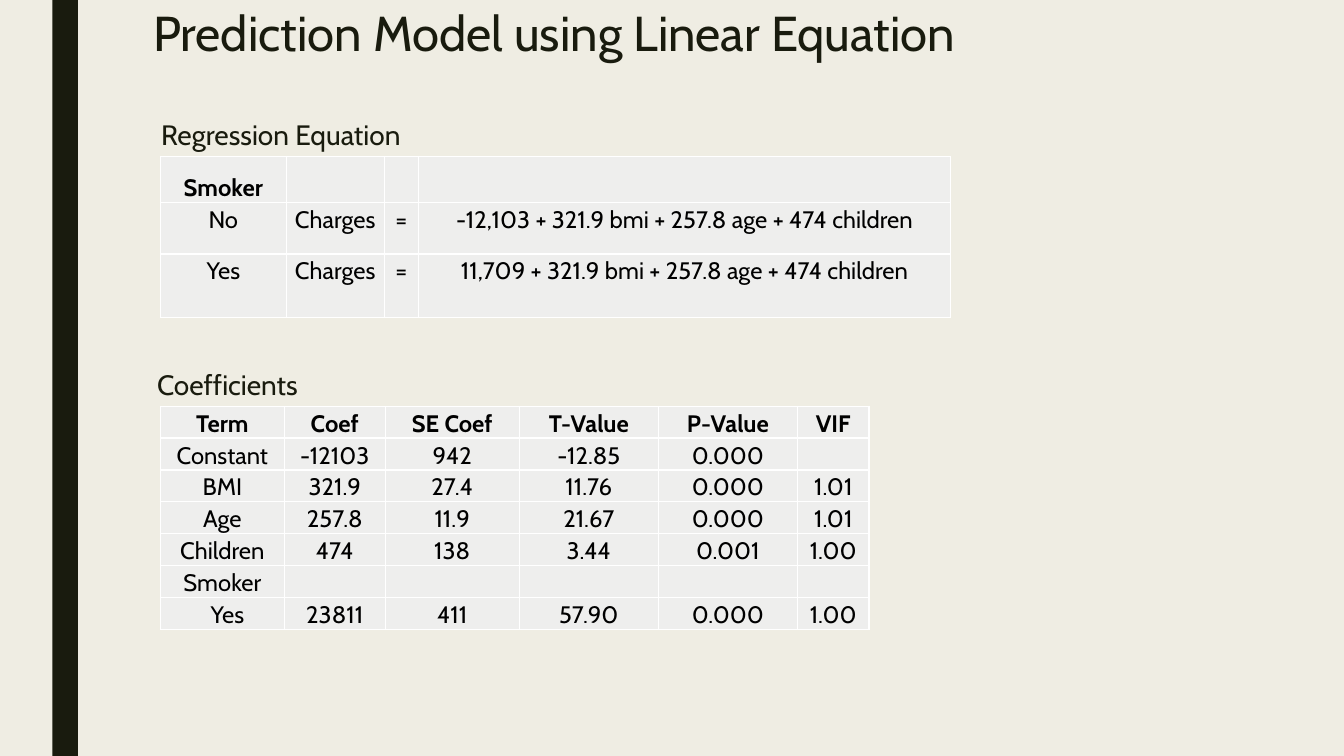
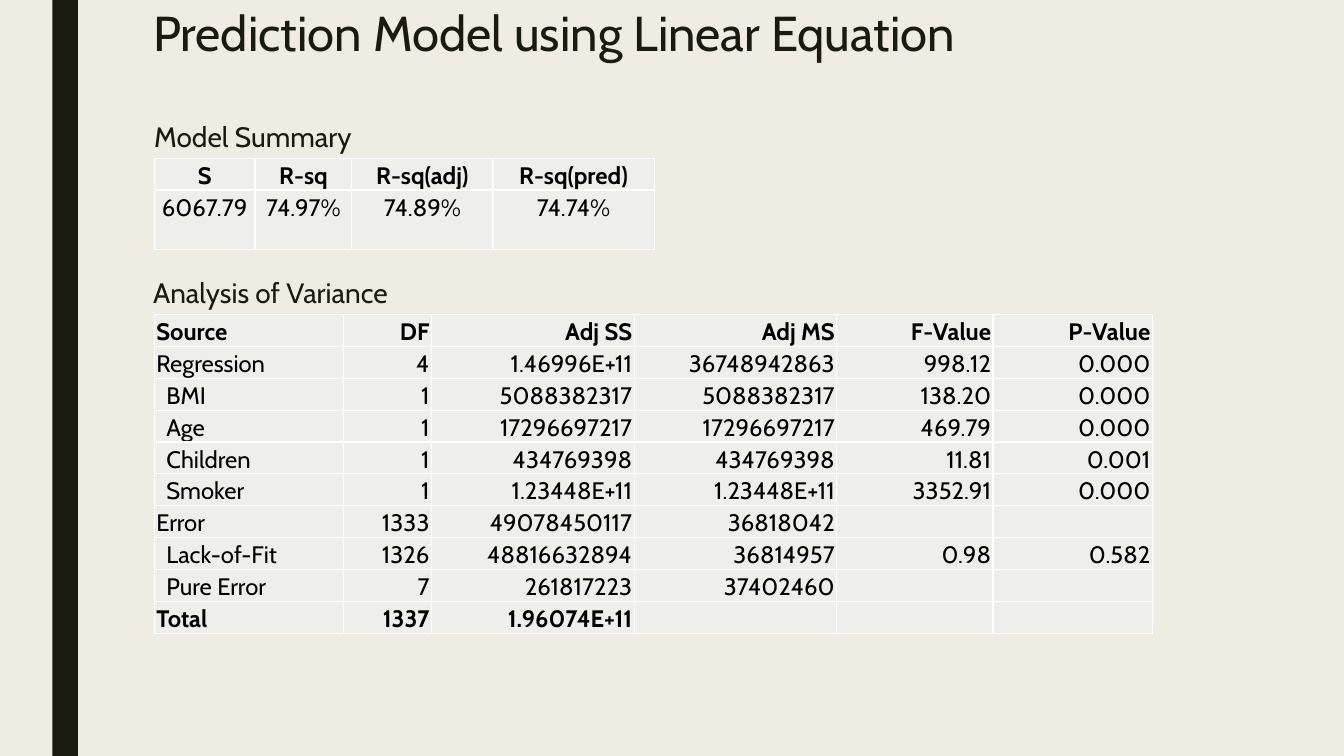
from lxml import etree
from pptx import Presentation, util as u
from pptx.dml.color import RGBColor
from pptx.enum import shapes, text
from pptx.oxml.ns import qn

TITLE = "Prediction Model using Linear Equation"
DARK, PAPER, CELL, BLACK, WHITE = "191B0E", "EFEDE3", "EEEEED", "000000", "FFFFFF"
LEFT, CENTER, RIGHT = text.PP_ALIGN.LEFT, text.PP_ALIGN.CENTER, text.PP_ALIGN.RIGHT
LINE = 4.22
HEADING_HEIGHT = 4.93
TEXT_WIDTH = 78.75


def rgb(hex_color):
    return RGBColor.from_string(hex_color)


def paint(target, hex_color):
    target.solid()
    target.fore_color.rgb = rgb(hex_color)


def assign(target, values):
    for name, value in values.items():
        setattr(target, name, value)


class Deck:
    """Hold the shared style and current slide; lengths are percentages of the slide."""

    def __init__(self):
        self.prs = Presentation()
        assign(self.prs, {"slide_width": u.Inches(13.33), "slide_height": u.Inches(7.5)})
        paint(self.prs.slide_master.background.fill, PAPER)

    def across(self, share):
        return round(self.prs.slide_width * share / 100)

    def down(self, share):
        return round(self.prs.slide_height * share / 100)

    def box(self, left, top, width, height):
        return self.across(left), self.down(top), self.across(width), self.down(height)

    def page(self, title):
        self.slide = self.prs.slides.add_slide(self.prs.slide_layouts[6])
        band = self.slide.shapes.add_shape(shapes.MSO_SHAPE.RECTANGLE, *self.box(3.9, 0, 1.9, 100))
        band.shadow.inherit = False
        paint(band.fill, DARK)
        band.line.fill.background()
        self.label(title, 10.65, 0.67, 9.87, 35, 0.89)

    def label(self, words, left, top, height, size, spacing):
        frame = self.slide.shapes.add_textbox(*self.box(left, top, TEXT_WIDTH, height)).text_frame
        assign(frame, {"word_wrap": True, "vertical_anchor": text.MSO_ANCHOR.TOP})
        self.typeset(frame.paragraphs[0], words, size, DARK, False, LEFT, spacing)

    def typeset(self, paragraph, words, size, color, bold, align, spacing):
        assign(paragraph, {"alignment": align, "line_spacing": spacing})
        if not words:
            paragraph._p.get_or_add_endParaRPr().set("sz", str(size * 100))
            return
        run = paragraph.add_run()
        run.text = words
        assign(run.font, {"name": "Cabin", "size": u.Pt(size), "bold": bold})
        run.font.color.rgb = rgb(color)

    def section(self, heading, left, top, table_left, columns, rows, heights=None,
                aligns=(CENTER, CENTER), nested=(), bold_rows=(0,)):
        self.label(heading, left, top, HEADING_HEIGHT, 20, 0.79)
        heights = heights or [LINE] * len(rows)
        place = self.box(table_left, top + HEADING_HEIGHT, sum(columns), sum(heights))
        table = self.slide.shapes.add_table(len(rows), len(columns), *place).table
        assign(table, {"first_row": False, "horz_banding": False})
        for column, share in zip(table.columns, columns):
            column.width = self.across(share)
        for r, (row, share) in enumerate(zip(rows, heights)):
            table.rows[r].height = self.down(share)
            for c in range(len(columns)):
                words = row[c] if c < len(row) else ""
                self.cell(table.cell(r, c), words, aligns[c > 0], r == 0,
                          r in bold_rows, c == 0 and r in nested)

    def cell(self, cell, words, align, is_header, bold, is_nested):
        assign(cell, {
            "margin_left": u.Inches(0.12 if is_nested else 0.02),
            "margin_right": u.Inches(0.02),
            "margin_top": u.Inches(0.01),
            "margin_bottom": 0,
            "vertical_anchor": text.MSO_ANCHOR.BOTTOM if is_header else text.MSO_ANCHOR.TOP,
        })
        properties = cell._tc.get_or_add_tcPr()
        for side in ("lnL", "lnR", "lnT", "lnB"):
            border = etree.SubElement(properties, qn(f"a:{side}"), w=str(int(u.Pt(1))))
            solid = etree.SubElement(border, qn("a:solidFill"))
            etree.SubElement(solid, qn("a:srgbClr"), val=WHITE)
        paint(cell.fill, CELL)
        self.typeset(cell.text_frame.paragraphs[0], words, 17, BLACK, bold, align, 1.07)


def main():
    deck = Deck()

    deck.page(TITLE)
    deck.section(
        "Regression Equation", 11.25, 15.73, 11.93, [9.38, 7.28, 2.55, 39.61],
        [
            ["Smoker"],
            ["No", "Charges", "=", "-12,103 + 321.9 bmi + 257.8 age + 474 children"],
            ["Yes", "Charges", "=", "11,709 + 321.9 bmi + 257.8 age + 474 children"],
        ],
        heights=[6.13, 6.8, 8.4])
    deck.section(
        "Coefficients", 10.95, 48.8, 11.93, [9.23, 7.5, 9.98, 10.35, 10.35, 5.33],
        [
            ["Term", "Coef", "SE Coef", "T-Value", "P-Value", "VIF"],
            ["Constant", "-12103", "942", "-12.85", "0.000"],
            ["BMI", "321.9", "27.4", "11.76", "0.000", "1.01"],
            ["Age", "257.8", "11.9", "21.67", "0.000", "1.01"],
            ["Children", "474", "138", "3.44", "0.001", "1.00"],
            ["Smoker"],
            ["Yes", "23811", "411", "57.90", "0.000", "1.00"],
        ],
        nested=(6,))

    deck.page(TITLE)
    deck.section(
        "Model Summary", 10.73, 16, 11.48, [7.5, 7.2, 10.5, 12],
        [
            ["S", "R-sq", "R-sq(adj)", "R-sq(pred)"],
            ["6067.79", "74.97%", "74.89%", "74.74%"],
        ],
        heights=[LINE, 7.87])
    deck.section(
        "Analysis of Variance", 10.65, 36.67, 11.48, [14.1, 6.53, 15.08, 15.08, 11.63, 11.85],
        [
            ["Source", "DF", "Adj SS", "Adj MS", "F-Value", "P-Value"],
            ["Regression", "4", "1.46996E+11", "36748942863", "998.12", "0.000"],
            ["BMI", "1", "5088382317", "5088382317", "138.20", "0.000"],
            ["Age", "1", "17296697217", "17296697217", "469.79", "0.000"],
            ["Children", "1", "434769398", "434769398", "11.81", "0.001"],
            ["Smoker", "1", "1.23448E+11", "1.23448E+11", "3352.91", "0.000"],
            ["Error", "1333", "49078450117", "36818042"],
            ["Lack-of-Fit", "1326", "48816632894", "36814957", "0.98", "0.582"],
            ["Pure Error", "7", "261817223", "37402460"],
            ["Total", "1337", "1.96074E+11"],
        ],
        aligns=(LEFT, RIGHT), nested=(2, 3, 4, 5, 7, 8), bold_rows=(0, 9))

    deck.prs.save("out.pptx")


if __name__ == "__main__":
    main()
